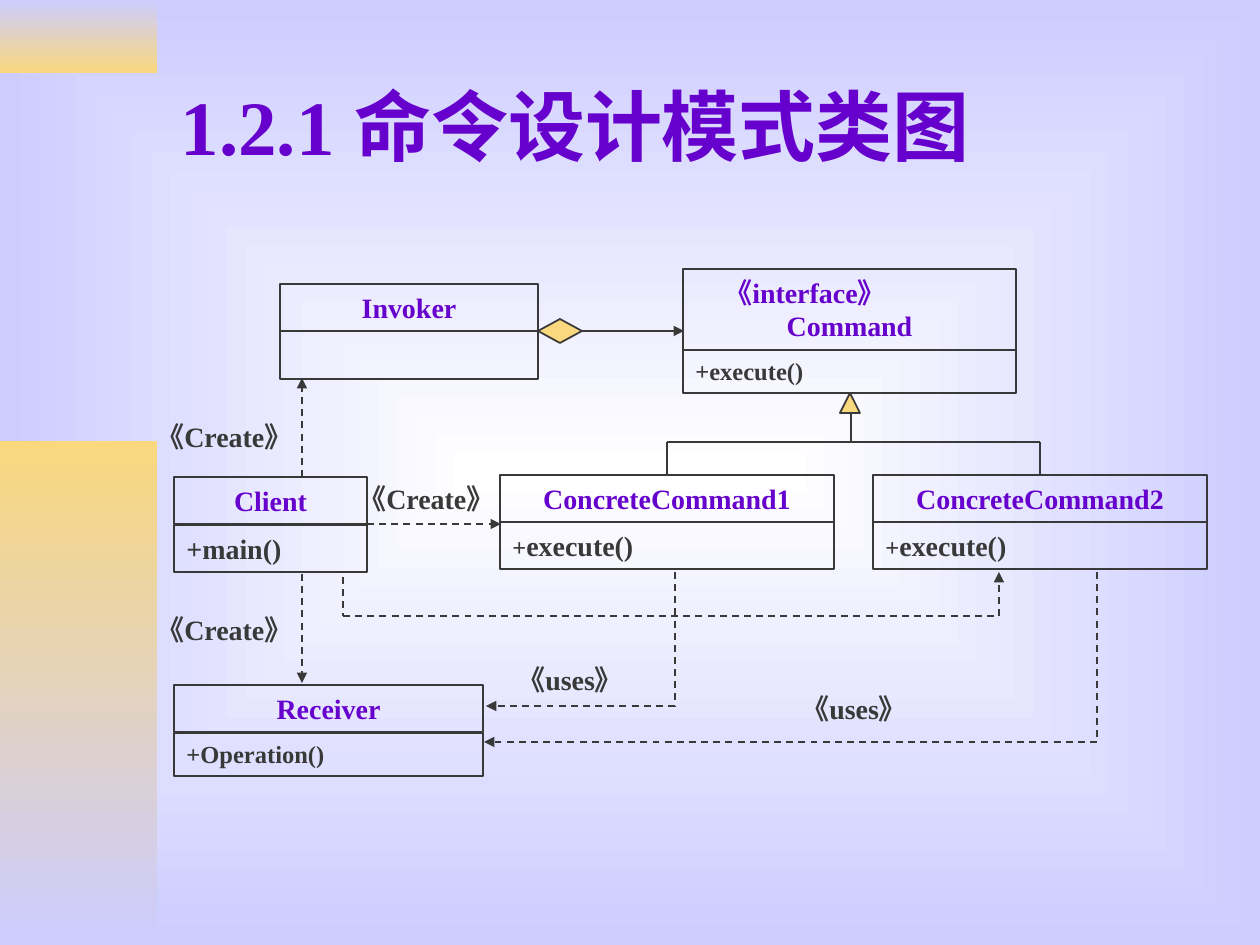
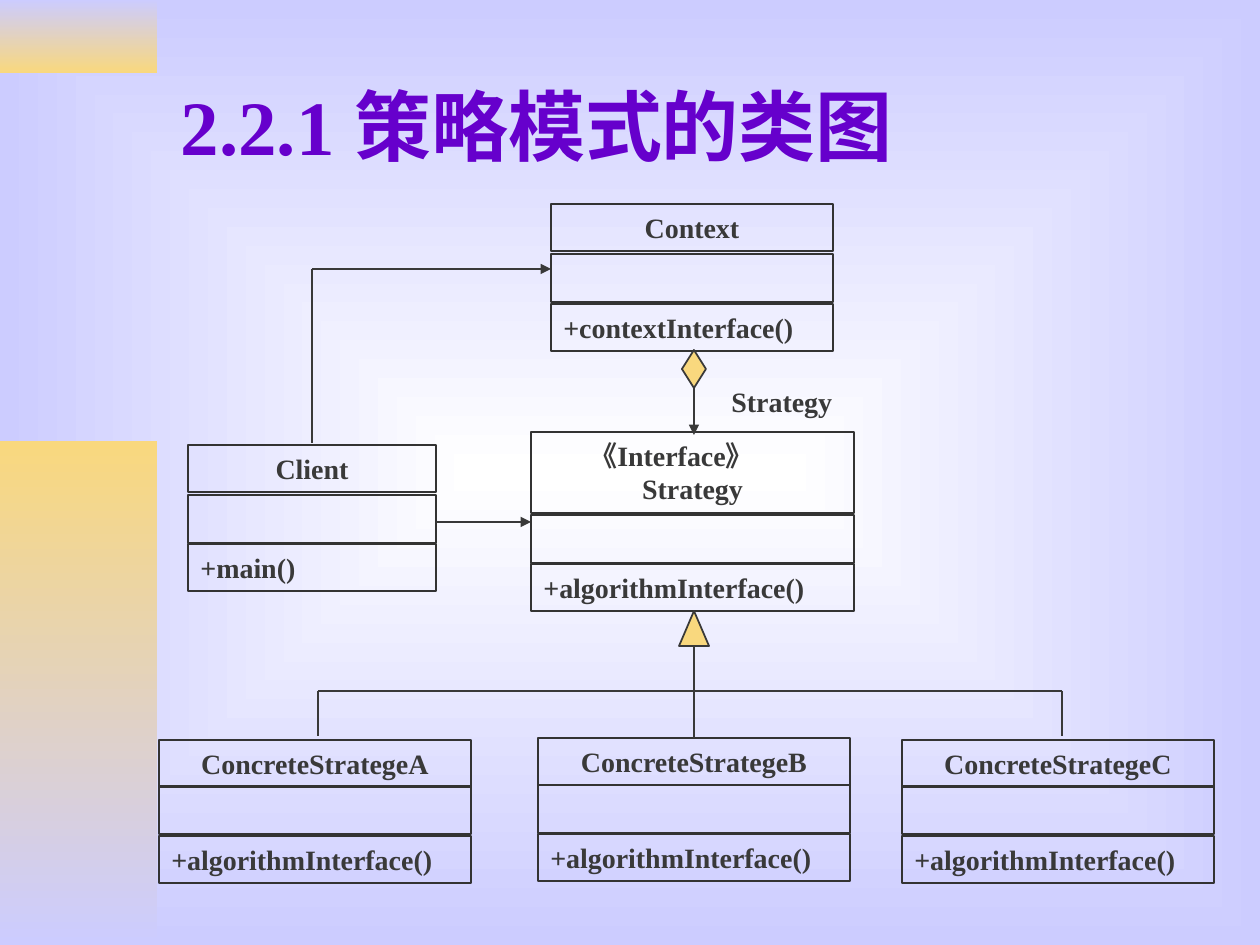
from itertools import pairwise
from lxml import etree
from pptx import Presentation
from pptx.dml.color import RGBColor as RGB
from pptx.enum.dml import MSO_LINE_DASH_STYLE as DASH
from pptx.enum.shapes import MSO_CONNECTOR as CONN, MSO_SHAPE as SHAPE
from pptx.enum.text import MSO_ANCHOR as ANCHOR, MSO_AUTO_SIZE as FIT, PP_ALIGN as ALIGN
from pptx.oxml.ns import qn
from pptx.util import Pt

FONT = "Times New Roman"
HUES = {"white": "FFFFFF", "lilac": "CCCCFF", "gold": "F9D87E",
        "violet": "6600CC", "ink": "393939", "edge": "333333"}
TITLE = (168, 42, 1071, 166)
# place, first hue, last hue
BANDS = [((0, 0, 157, 73), "lilac", "gold"),
         ((0, 441, 157, 504), "gold", "lilac")]

# classes: left, width, rows of (top, text, size, size of the first sign)
# lines: points, dashed, arrow at the end
PAGES = [
    {
        "title": "1.2.1 命令设计模式类图",
        "name": "violet", "edge": "ink", "indent": 29,
        "classes": [
            (280, 258, [(284, "Invoker"), (331, "")]),
            (683, 333, [(269, "《interface》\nCommand"), (350, "+execute()", 14)]),
            (174, 193, [(477, "Client"), (525, "+main()")]),
            (500, 334, [(475, "ConcreteCommand1"), (522, "+execute()", 16, 14)]),
            (873, 334, [(475, "ConcreteCommand2"), (522, "+execute()", 16, 14)]),
            (174, 309, [(685, "Receiver"), (733, "+Operation()", 14)]),
        ],
        "marks": [(SHAPE.FLOWCHART_EXTRACT, (840, 393, 20, 20)),
                  (SHAPE.FLOWCHART_DECISION, (538, 319, 44, 24))],
        "lines": [
            ([(851, 412), (851, 442)], False, False),
            ([(667, 475), (667, 442), (1040, 442), (1040, 475)], False, False),
            ([(582, 331), (684, 331)], False, True),
            ([(302, 477), (302, 378)], True, True),
            ([(367, 524), (501, 524)], True, True),
            ([(302, 574), (302, 683)], True, True),
            ([(343, 577), (343, 616), (999, 616), (999, 572)], True, True),
            ([(675, 572), (675, 706), (486, 706)], True, True),
            ([(1097, 572), (1097, 742), (484, 742)], True, True),
        ],
        "labels": [(144, 413, "《Create》"), (346, 475, "《Create》"),
                   (144, 606, "《Create》"), (789, 685, "《uses》"),
                   (505, 656, "《uses》")],
    },
    {
        "title": "2.2.1 策略模式的类图",
        "name": "ink", "edge": "edge", "indent": 46,
        "classes": [
            (551, 282, [(204, "Context"), (254, ""), (304, "+contextInterface()")]),
            (188, 248, [(445, "Client"), (495, ""), (544, "+main()")]),
            (531, 323, [(432, "《Interface》\nStrategy"), (515, ""),
                        (564, "+algorithmInterface()")]),
            (159, 312, [(740, "ConcreteStrategeA"), (786, ""),
                        (836, "+algorithmInterface()")]),
            (538, 312, [(738, "ConcreteStrategeB"), (785, ""),
                        (834, "+algorithmInterface()")]),
            (902, 312, [(740, "ConcreteStrategeC"), (786, ""),
                        (836, "+algorithmInterface()")]),
        ],
        "marks": [(SHAPE.ISOSCELES_TRIANGLE, (679, 611, 30, 35)),
                  (SHAPE.DIAMOND, (682, 350, 24, 38))],
        "lines": [
            ([(694, 646), (694, 691)], False, False),
            ([(318, 736), (318, 691), (1062, 691), (1062, 736)], False, False),
            ([(694, 691), (694, 738)], False, False),
            ([(436, 522), (531, 522)], False, True),
            ([(312, 443), (312, 269), (551, 269)], False, True),
            ([(694, 388), (694, 435)], False, True),
        ],
        "labels": [(719, 378, "Strategy")],
    },
]


def px(n):
    return round(n * 914400 / 126)


def hue(key):
    return RGB.from_string(HUES[key])


def blend(fill, first, last):
    fill.gradient()
    for stop, key, at in zip(fill.gradient_stops, (first, last), (0, 1)):
        stop.color.rgb = hue(key)
        stop.position = at


def style(font, size, key):
    font.name, font.size, font.bold = FONT, Pt(size), True
    font.color.rgb = hue(key)


def write(frame, text, size, key, align=ALIGN.LEFT, anchor=ANCHOR.TOP):
    frame.text = text
    frame.word_wrap, frame.auto_size = True, FIT.NONE
    frame.vertical_anchor = anchor
    for para in frame.paragraphs:
        para.alignment = align
        for run in para.runs:
            style(run.font, size, key)


def draw(slide, kind, place, edge):
    shape = slide.shapes.add_shape(kind, *map(px, place))
    shape.shadow.inherit = False
    shape.fill.background()
    shape.line.color.rgb = hue(edge)
    shape.line.width = Pt(1)
    return shape


def add_sites(sites, shape, place):
    """Note the middle of each side, so that lines ending there can join."""
    x, y, w, h = place
    mids = [(x + w // 2, y), (x, y + h // 2), (x + w // 2, y + h), (x + w, y + h // 2)]
    sites.update({mid: (shape, i) for i, mid in enumerate(mids)})


def height(text, size):
    if not text:
        return 48
    if "\n" in text:
        return 81
    return 43 if size == 14 else 47


def add_row(slide, page, sites, x, w, row, head):
    y, text, *sizes = row
    size = sizes[0] if sizes else 16
    place = (x, y, w, height(text, size))
    box = draw(slide, SHAPE.RECTANGLE, place, page["edge"])
    add_sites(sites, box, place)
    if not text:
        return
    frame = box.text_frame
    write(frame, text, size, page["name"] if head else "ink",
          ALIGN.CENTER if head else ALIGN.LEFT)
    first = frame.paragraphs[0]
    if "\n" in text:
        first.alignment = ALIGN.LEFT
        first._p.get_or_add_pPr().set("marL", str(px(page["indent"])))
    if len(sizes) == 2:
        sign, rest = first.runs[0], first.add_run()
        sign.text, rest.text = text[0], text[1:]
        style(sign.font, sizes[1], "ink")
        style(rest.font, size, "ink")


def add_line(slide, sites, points, dashed, arrow):
    for start, end in pairwise(points):
        line = slide.shapes.add_connector(CONN.STRAIGHT, *map(px, start + end))
        line.line.color.rgb = hue("ink")
        line.line.width = Pt(1)
        if dashed:
            line.line.dash_style = DASH.DASH
        if start in sites:
            line.begin_connect(*sites[start])
        if end in sites:
            line.end_connect(*sites[end])
        etree.SubElement(line.element.spPr, qn("a:effectLst"))
    if arrow:
        etree.SubElement(line.line._get_or_add_ln(), qn("a:tailEnd"), type="triangle")


def set_master(deck, slide):
    """Give the master its backdrop, and bands that are drawn on a slide first."""
    master = deck.slide_master
    blend(master.background.fill, "white", "lilac")
    grad = master.element.find(".//" + qn("p:bgPr") + "/" + qn("a:gradFill"))
    grad.remove(grad.find(qn("a:lin")))
    glow = etree.SubElement(grad, qn("a:path"), path="rect")
    etree.SubElement(glow, qn("a:fillToRect"), dict.fromkeys("ltrb", "50000"))
    for i, (place, first, last) in enumerate(BANDS):
        band = draw(slide, SHAPE.RECTANGLE, place, "gold")
        band.line.fill.background()
        blend(band.fill, first, last)
        band.fill.gradient_angle = 270
        master.shapes.element.insert(2 + i, band.element)


def add_page(slide, page):
    title = slide.shapes.title
    title.left, title.top, title.width, title.height = map(px, TITLE)
    write(title.text_frame, page["title"], 44, "violet", anchor=ANCHOR.MIDDLE)
    sites = {}
    for x, w, rows in page["classes"]:
        for i, row in enumerate(rows):
            add_row(slide, page, sites, x, w, row, i == 0)
    for kind, place in page["marks"]:
        mark = draw(slide, kind, place, "ink")
        mark.fill.solid()
        mark.fill.fore_color.rgb = hue("gold")
        if kind in (SHAPE.DIAMOND, SHAPE.FLOWCHART_DECISION):
            add_sites(sites, mark, place)
    for line in page["lines"]:
        add_line(slide, sites, *line)
    for x, y, text in page["labels"]:
        label = slide.shapes.add_textbox(*map(px, (x, y, 189, 47)))
        write(label.text_frame, text, 16, "ink")


def main():
    deck = Presentation()
    deck.slide_width, deck.slide_height = px(1260), px(945)
    slides = [deck.slides.add_slide(deck.slide_layouts[5]) for _ in PAGES]
    set_master(deck, slides[0])
    for slide, page in zip(slides, PAGES):
        add_page(slide, page)
    deck.save("out.pptx")


if __name__ == "__main__":
    main()
